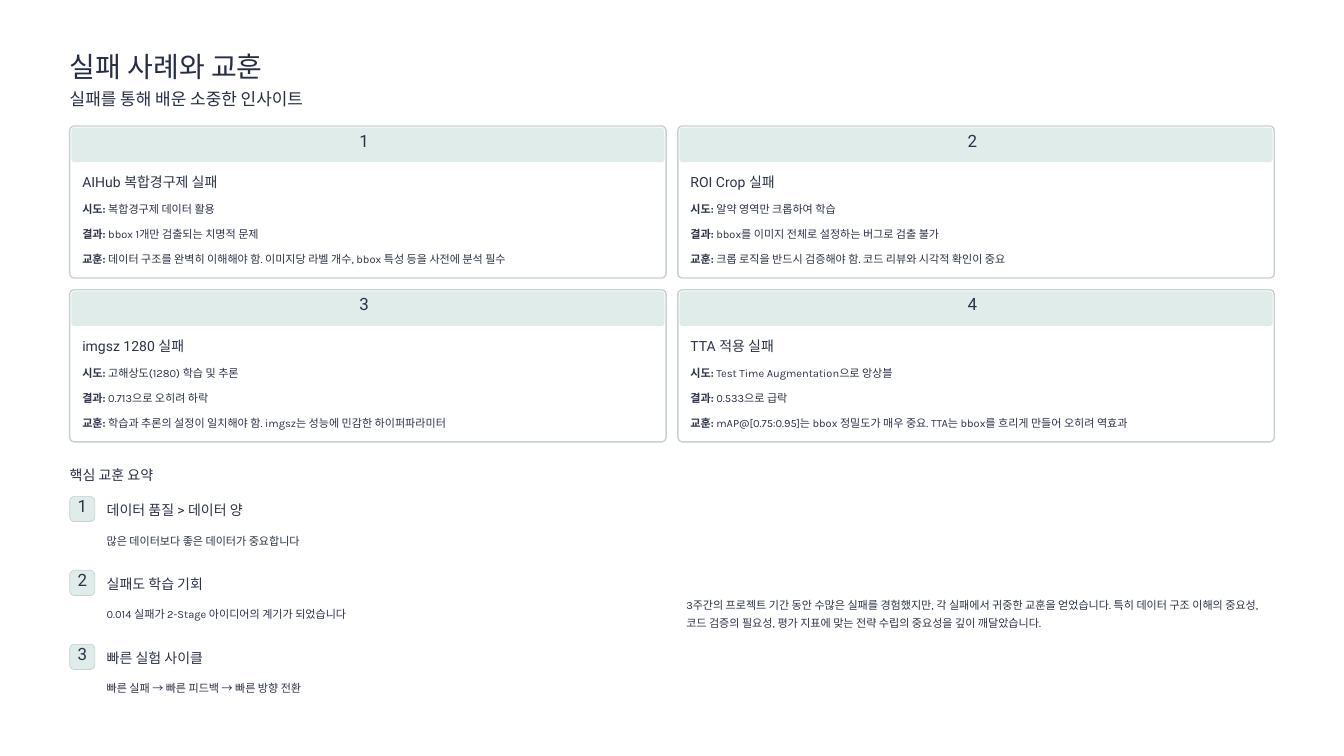
"""Build the slide on failed experiments and the lessons drawn from them."""
from dataclasses import dataclass
from typing import NamedTuple

from pptx import Presentation
from pptx import util as u
from pptx.dml.color import RGBColor
from pptx.enum import shapes, text

WHITE = RGBColor(0xFF, 0xFF, 0xFF)
MINT = RGBColor(0xDF, 0xEC, 0xE9)
EDGE = RGBColor(0xC5, 0xD2, 0xCF)
NAVY = RGBColor(0x27, 0x2D, 0x45)
INK = RGBColor(0x2C, 0x32, 0x49)

MARGIN = 0.83
CARD_TOP, CARD_COLUMN, CARD_ROW = 1.5, 7.24, 1.95
LESSON_TOP, LESSON_ROW = 5.91, 0.88
DETAIL_ROW = 0.3
DETAIL_LABELS = ("시도:", "결과:", "교훈:")


class Frame(NamedTuple):
    """Left, top, width and height in inches."""
    left: float
    top: float
    width: float
    height: float

    def emu(self) -> list:
        return [u.Inches(length) for length in self]


@dataclass(frozen=True)
class Style:
    """Look of one kind of text, in points."""
    size: float
    leading: float
    font: str = "Roboto"
    colour: RGBColor = INK


@dataclass(frozen=True)
class Card:
    """One failed attempt with its trial, result and lesson."""
    heading: str
    details: tuple


@dataclass(frozen=True)
class Lesson:
    """One numbered summary lesson."""
    heading: str
    detail: str


TITLE = Style(24, 30, colour=NAVY)
SUBTITLE = Style(14.5, 18, colour=NAVY)
SECTION = Style(12, 15, colour=NAVY)
NUMBER = Style(14.5, 14.5)
HEADING = Style(12, 15)
BODY = Style(9.5, 15.5, "Karla")

CARDS = (
    Card("AIHub 복합경구제 실패", (
        "복합경구제 데이터 활용",
        "bbox 1개만 검출되는 치명적 문제",
        "데이터 구조를 완벽히 이해해야 함. 이미지당 라벨 개수, bbox 특성 등을 사전에 분석 필수")),
    Card("ROI Crop 실패", (
        "알약 영역만 크롭하여 학습",
        "bbox를 이미지 전체로 설정하는 버그로 검출 불가",
        "크롭 로직을 반드시 검증해야 함. 코드 리뷰와 시각적 확인이 중요")),
    Card("imgsz 1280 실패", (
        "고해상도(1280) 학습 및 추론",
        "0.713으로 오히려 하락",
        "학습과 추론의 설정이 일치해야 함. imgsz는 성능에 민감한 하이퍼파라미터")),
    Card("TTA 적용 실패", (
        "Test Time Augmentation으로 앙상블",
        "0.533으로 급락",
        "mAP@[0.75:0.95]는 bbox 정밀도가 매우 중요. TTA는 bbox를 흐리게 만들어 오히려 역효과")),
)
LESSONS = (
    Lesson("데이터 품질 > 데이터 양", "많은 데이터보다 좋은 데이터가 중요합니다"),
    Lesson("실패도 학습 기회", "0.014 실패가 2-Stage 아이디어의 계기가 되었습니다"),
    Lesson("빠른 실험 사이클", "빠른 실패 → 빠른 피드백 → 빠른 방향 전환"),
)
CLOSING = ("3주간의 프로젝트 기간 동안 수많은 실패를 경험했지만, 각 실패에서 귀중한 교훈을 얻었습니다. "
           "특히 데이터 구조 이해의 중요성, 코드 검증의 필요성, 평가 지표에 맞는 전략 수립의 중요성을 "
           "깊이 깨달았습니다.")


def fill_text(box, words: str, style: Style, label: str = "", wrap: bool = False,
              align=text.PP_ALIGN.LEFT) -> None:
    """Write one paragraph, with an optional bold label, into a box without margins."""
    frame = box.text_frame
    frame.margin_left = frame.margin_top = frame.margin_right = frame.margin_bottom = 0
    frame.auto_size = text.MSO_AUTO_SIZE.NONE
    frame.vertical_anchor = text.MSO_ANCHOR.TOP
    frame.word_wrap = wrap
    para = frame.paragraphs[0]
    para.alignment = align
    para.line_spacing = u.Pt(style.leading)
    para.font.size = u.Pt(style.size)
    para.font.name = style.font
    para.font.color.rgb = style.colour
    if label:
        span = para.add_run()
        span.text = label
        span.font.bold = True
        words = " " + words
    para.add_run().text = words


def add_text(page, frame: Frame, words: str, style: Style, **options) -> None:
    """Add a text box."""
    fill_text(page.shapes.add_textbox(*frame.emu()), words, style, **options)


def add_panel(page, frame: Frame, corner: float, fill: RGBColor, line: float = 0) -> None:
    """Add a rounded rectangle, outlined when a line width is given."""
    panel = page.shapes.add_shape(shapes.MSO_SHAPE.ROUNDED_RECTANGLE, *frame.emu())
    panel.shadow.inherit = False
    panel.adjustments[0] = corner
    panel.fill.solid()
    panel.fill.fore_color.rgb = fill
    if line:
        panel.line.color.rgb = EDGE
        panel.line.width = u.Pt(line)
    else:
        panel.line.fill.background()


def add_card(page, index: int, card: Card) -> None:
    """Draw a card in its cell of the two-column grid."""
    row, column = divmod(index, 2)
    left, top = MARGIN + column * CARD_COLUMN, CARD_TOP + row * CARD_ROW
    add_panel(page, Frame(left, top, 7.1, 1.81), 0.03, WHITE, 1.2)
    add_panel(page, Frame(left + 0.02, top + 0.02, 7.06, 0.41), 0.09, MINT)
    add_text(page, Frame(left + 3.45, top + 0.09, 0.2, 0.25), str(index + 1), NUMBER)
    add_text(page, Frame(left + 0.15, top + 0.56, 1.69, 0.21), card.heading, HEADING)
    for step, (label, detail) in enumerate(zip(DETAIL_LABELS, card.details)):
        frame = Frame(left + 0.15, top + 0.85 + step * DETAIL_ROW, 6.8, 0.22)
        add_text(page, frame, detail, BODY, label=label)


def add_lesson(page, index: int, lesson: Lesson) -> None:
    """Draw a numbered lesson in its row of the summary."""
    top = LESSON_TOP + index * LESSON_ROW
    add_panel(page, Frame(MARGIN, top, 0.3, 0.3), 0.19, MINT, 0.6)
    add_text(page, Frame(MARGIN + 0.05, top + 0.03, 0.2, 0.25), str(index + 1), NUMBER,
             align=text.PP_ALIGN.CENTER)
    add_text(page, Frame(MARGIN + 0.44, top + 0.05, 1.69, 0.21), lesson.heading, HEADING)
    add_text(page, Frame(MARGIN + 0.44, top + 0.39, 6.57, 0.22), lesson.detail, BODY)


def main() -> None:
    """Build and save the deck."""
    deck = Presentation()
    deck.slide_width, deck.slide_height = u.Inches(16), u.Inches(9)
    page = deck.slides.add_slide(deck.slide_layouts[5])
    page.background.fill.solid()
    page.background.fill.fore_color.rgb = WHITE

    title = page.shapes.title
    title.left, title.top, title.width, title.height = Frame(MARGIN, 0.57, 3.38, 0.42).emu()
    fill_text(title, "실패 사례와 교훈", TITLE)
    add_text(page, Frame(MARGIN, 1.05, 2.79, 0.25), "실패를 통해 배운 소중한 인사이트", SUBTITLE)
    for index, card in enumerate(CARDS):
        add_card(page, index, card)
    add_text(page, Frame(MARGIN, 5.55, 1.69, 0.21), "핵심 교훈 요약", SECTION)
    for index, lesson in enumerate(LESSONS):
        add_lesson(page, index, lesson)
    add_text(page, Frame(8.17, 7.07, 7, 0.43), CLOSING, BODY, wrap=True)
    deck.save("out.pptx")


if __name__ == "__main__":
    main()
